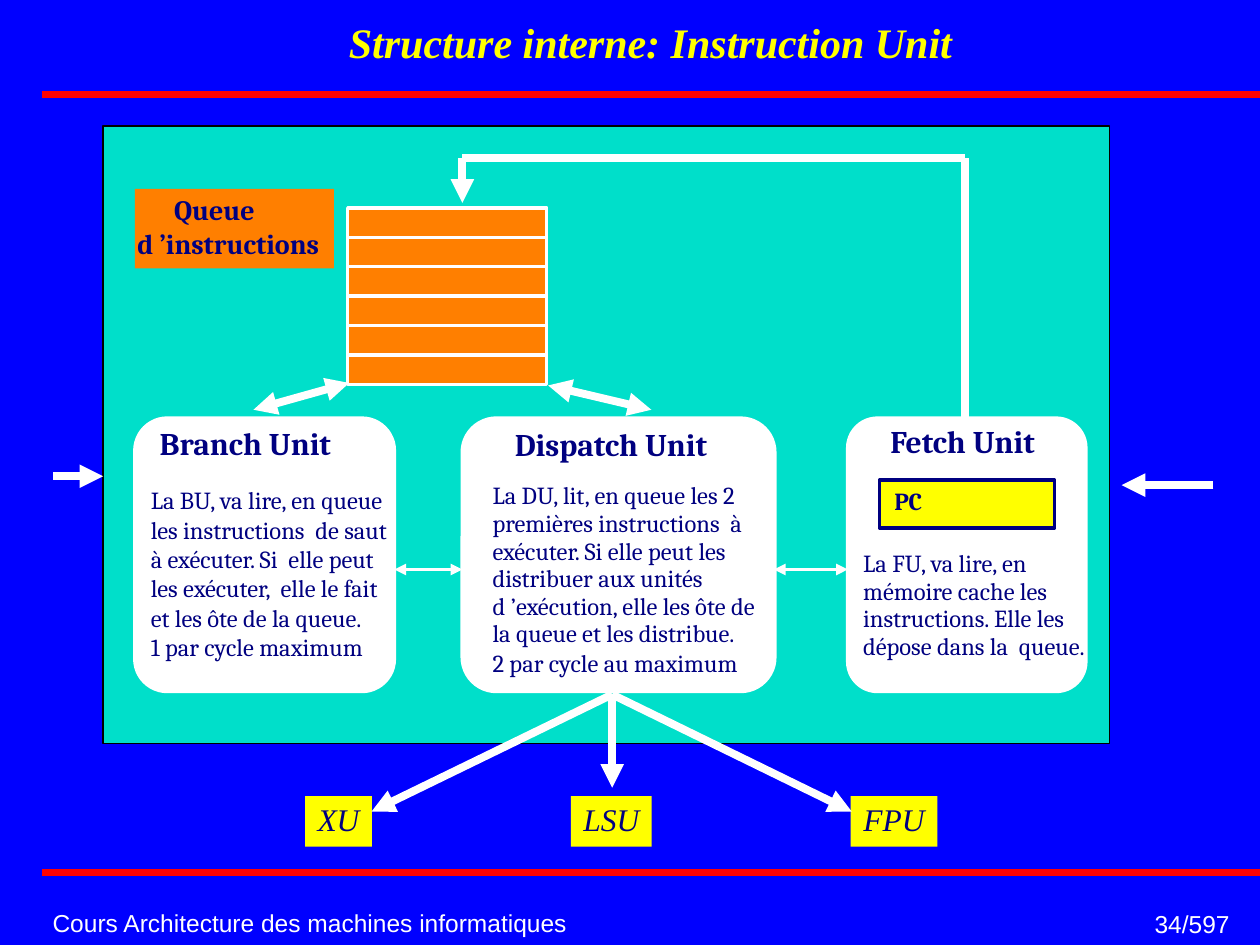
"""Build the slide on the internal structure of the Instruction Unit."""
from dataclasses import dataclass

from lxml import etree
from pptx import Presentation
from pptx.dml.color import RGBColor
from pptx.enum.shapes import MSO_CONNECTOR, MSO_SHAPE
from pptx.enum.text import MSO_ANCHOR, PP_ALIGN
from pptx.oxml.ns import qn
from pptx.util import Cm, Pt

RECTANGLE, ROUNDED = MSO_SHAPE.RECTANGLE, MSO_SHAPE.ROUNDED_RECTANGLE
STRAIGHT = MSO_CONNECTOR.STRAIGHT
LEFT, CENTER, RIGHT = PP_ALIGN.LEFT, PP_ALIGN.CENTER, PP_ALIGN.RIGHT
TOP, MIDDLE, BOTTOM = MSO_ANCHOR.TOP, MSO_ANCHOR.MIDDLE, MSO_ANCHOR.BOTTOM
NO_BREAK = chr(160)


@dataclass(frozen=True)
class Theme:
    blue: str = "0000FF"
    red: str = "FF0100"
    yellow: str = "FFFF00"
    turquoise: str = "00DFCA"
    orange: str = "FF7F00"
    navy: str = "000080"
    white: str = "FFFFFF"
    black: str = "000000"
    serif: str = "Cambria"
    roman: str = "Times New Roman"
    sans: str = "Arial"
    title: int = 24
    heading: int = 18
    label: int = 16
    body: int = 14
    thick: float = 4.5
    rule: float = 4
    thin: float = 2.25
    outline: float = 2


THEME = Theme()
PANEL_TOP, PANEL_HEIGHT = 8.43, 5.51
PANELS = [
    (2.72, 5.23, "Branch Unit", (2.97, 8.48), (2.79, 9.65, 5.44, 4.2), 1.0,
     "La BU, va lire, en queue les instructions  de saut à exécuter. Si  elle peut "
     "les exécuter,  elle le fait et les ôte de la queue.\n1 par cycle maximum"),
    (9.32, 6.3, "Dispatch Unit", (10.13, 8.51), (9.68, 9.6, 5.92, 4.2), 0.94,
     "La DU, lit, en queue les 2 premières instructions  à exécuter. Si elle peut les "
     f"distribuer aux unités d{NO_BREAK}’exécution, elle les ôte de la queue et les "
     "distribue.\n2 par cycle au maximum"),
    (17.09, 4.8, "Fetch Unit", (17.7, 8.43), (17.15, 10.97, 5.03, 2.9), 0.94,
     "La FU, va lire, en mémoire cache les instructions. Elle les dépose dans la  queue."),
]
UNITS = [("XU", 6.15, 1.35), ("LSU", 11.51, 1.63), ("FPU", 17.15, 1.75)]


def rgb(code):
    return RGBColor.from_string(code)


def write(shape, text, size, color, font=THEME.serif, bold=False, italic=False,
          align=LEFT, anchor=TOP, spacing=0.94, wrap=True):
    """Fill a shape with text; spacing applies to its first paragraph."""
    frame = shape.text_frame
    frame.text = text
    frame.word_wrap = wrap
    frame.vertical_anchor = anchor
    frame.margin_left = frame.margin_right = Cm(0.25)
    frame.margin_top = frame.margin_bottom = Cm(0.13)
    frame.paragraphs[0].line_spacing = spacing
    for paragraph in frame.paragraphs:
        paragraph.alignment = align
        for span in paragraph.runs:
            span.font.name, span.font.size = font, Pt(size)
            span.font.bold, span.font.italic = bold, italic
            span.font.color.rgb = rgb(color)


def add_text(page, area, text, size, color, **options):
    box = page.shapes.add_textbox(*map(Cm, area))
    write(box, text, size, color, **options)


def add_block(page, area, fill, line=None, width=THEME.outline, kind=RECTANGLE):
    """Add a filled shape, outlined only when a line colour is given."""
    block = page.shapes.add_shape(kind, *map(Cm, area))
    block.shadow.inherit = False
    block.fill.solid()
    block.fill.fore_color.rgb = rgb(fill)
    if line:
        block.line.color.rgb = rgb(line)
        block.line.width = Pt(width)
    else:
        block.line.fill.background()
    return block


def add_line(page, points, width=THEME.thick, color=THEME.white, ends=()):
    """Add a straight line with triangles at the named ends."""
    connector = page.shapes.add_connector(STRAIGHT, *map(Cm, points))
    connector.line.width = Pt(width)
    connector.line.color.rgb = rgb(color)
    outline = connector.line._get_or_add_ln()
    for end in ends:
        etree.SubElement(outline, qn(f"a:{end}"), type="triangle")
    etree.SubElement(connector._element.spPr, qn("a:effectLst"))


def add_frame(page):
    """Add the title, both rules, the footer and the page number."""
    for top in (1.9, 17.58):
        add_line(page, (0.84, top, 25.4, top), THEME.rule, THEME.red)
    add_text(page, (2.41, 0.28, 21.41, 1.22), "Structure interne: Instruction Unit",
             THEME.title, THEME.yellow, font=THEME.roman, bold=True, italic=True,
             align=CENTER, anchor=BOTTOM)
    add_text(page, (0.81, 18.24, 11.2, 0.79), "Cours Architecture des machines informatiques",
             THEME.body, THEME.white, font=THEME.sans, anchor=MIDDLE, spacing=0.93)
    add_text(page, (20.04, 18.24, 5, 0.79), "34/597", THEME.body, THEME.white,
             font=THEME.sans, align=RIGHT, spacing=0.93)


def add_panels(page):
    """Add the three unit panels with heading and description."""
    for left, width, heading, (x, y), area, spacing, body in PANELS:
        panel = add_block(page, (left, PANEL_TOP, width, PANEL_HEIGHT),
                          THEME.white, THEME.white, kind=ROUNDED)
        panel.adjustments[0] = 0.125
        add_text(page, (x, y, left + width - x, 0.97), heading, THEME.heading,
                 THEME.navy, bold=True)
        add_text(page, area, body, THEME.body, THEME.navy, spacing=spacing)
    counter = add_block(page, (17.73, 9.68, 3.53, 0.97), THEME.yellow, THEME.navy)
    write(counter, "PC", THEME.body, THEME.navy, bold=True)
    counter.text_frame.margin_left = Cm(0.3)
    counter.text_frame.margin_top = Cm(0.17)


def add_queue(page, left=7.01, top=4.19, width=4.01, height=3.56, slots=6):
    """Add the instruction queue, its slots and its label."""
    add_block(page, (left, top, width, height), THEME.orange, THEME.white)
    for slot in range(1, slots):
        level = top + slot * height / slots
        add_line(page, (left, level, left + width, level), THEME.outline)
    label = add_block(page, (2.72, 3.81, 4.01, 1.6), THEME.orange)
    write(label, f"Queue\nd{NO_BREAK}’instructions", THEME.label, THEME.navy, bold=True)
    label.text_frame.margin_left = Cm(0.05)
    label.text_frame.paragraphs[0]._p.get_or_add_pPr().set("marL", str(Cm(0.74)))


def add_units(page):
    for name, left, width in UNITS:
        unit = add_block(page, (left, 16.05, width, 1.02), THEME.yellow)
        write(unit, name, THEME.heading, THEME.navy, font=THEME.roman, italic=True,
              align=CENTER, wrap=False)


def add_arrows(page):
    """Connect the panels, the queue, the units and the outside."""
    both = ("headEnd", "tailEnd")
    for points in ((7.95, 11.48, 9.32, 11.48), (15.6, 11.48, 17.09, 11.48)):
        add_line(page, points, THEME.thin, ends=both)
    for points in ((5.11, 8.26, 7.04, 7.72), (11.05, 7.77, 13.13, 8.26)):
        add_line(page, points, ends=both)
    for points in ((19.46, PANEL_TOP, 19.46, 3.18), (9.32, 3.18, 19.46, 3.18)):
        add_line(page, points)
    for target in ((7.49, 16.36), (12.34, 15.88), (17.17, 16.36)):
        add_line(page, (12.34, 14, *target), ends=("tailEnd",))
    for points in ((9.32, 3.18, 9.32, 4.09), (1.07, 9.6, 2.08, 9.6),
                   (24.46, 9.78, 22.61, 9.78)):
        add_line(page, points, ends=("tailEnd",))


def main():
    deck = Presentation()
    deck.slide_width, deck.slide_height = Cm(25.4), Cm(19.05)
    page = deck.slides.add_slide(deck.slide_layouts[6])
    page.background.fill.solid()
    page.background.fill.fore_color.rgb = rgb(THEME.blue)
    add_frame(page)
    add_block(page, (2.08, 2.54, 20.29, 12.45), THEME.turquoise, THEME.black, 1)
    add_panels(page)
    add_queue(page)
    add_units(page)
    add_arrows(page)
    deck.save("out.pptx")


if __name__ == "__main__":
    main()
